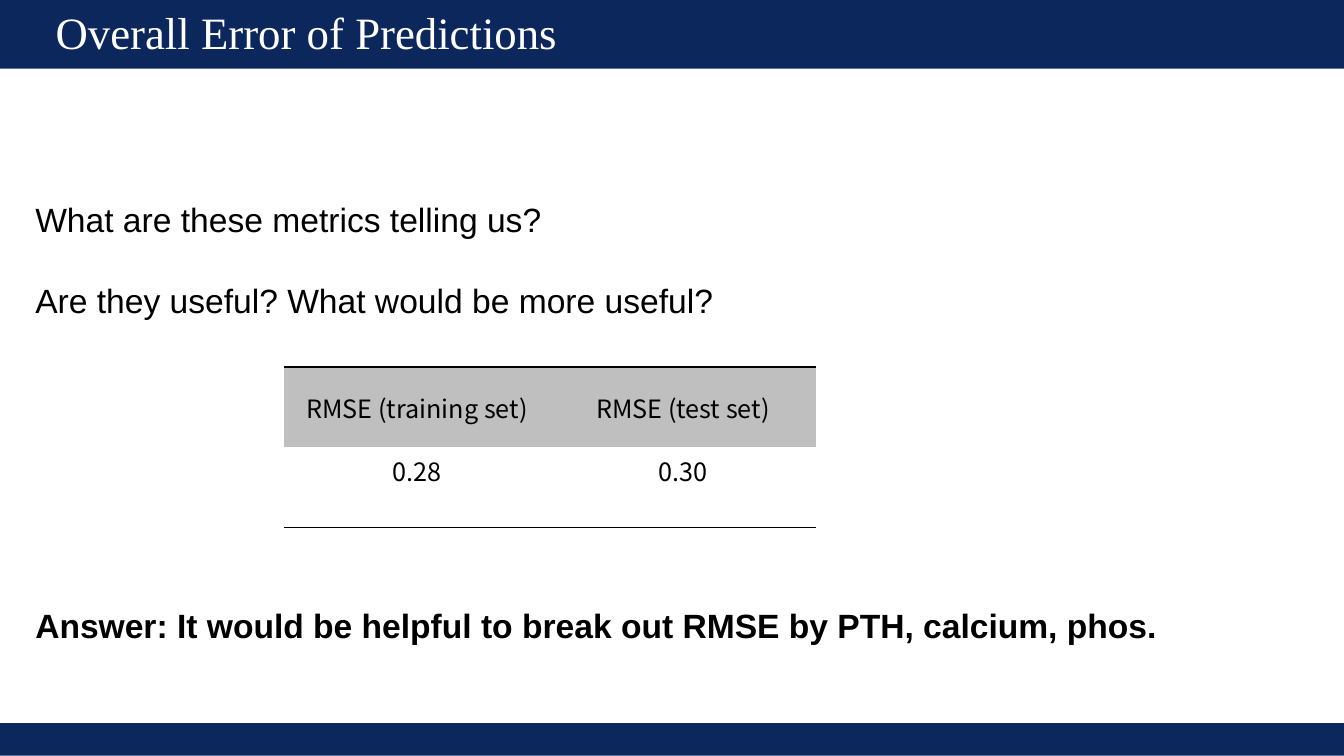
import pptx
import pptx.dml.color
import pptx.enum.shapes
import pptx.enum.text
import pptx.oxml
import pptx.oxml.ns
import pptx.util
from pptx.util import Cm, Pt

NAVY, GREY, WHITE, BLACK = "0C275C", "BFBFBF", "FFFFFF", "000000"
PLAIN_TABLE_STYLE = "{2D5ABB26-0587-4C30-8999-92F81FD0307C}"
ANCHOR = pptx.enum.text.MSO_ANCHOR
METRICS = [("RMSE (training set)", "RMSE (test set)"), ("0.28", "0.30")]
# Text, space before in points, bold
DISCUSSION = [
    ("What are these metrics telling us?", 0, False),
    ("Are they useful? What would be more useful?", 29.5, False),
    ("Answer: It would be helpful to break out RMSE by PTH, calcium, phos.", 203, True),
]


def colour(value):
    return pptx.dml.color.RGBColor.from_string(value)


def set_font(para, name, size, shade, bold=False):
    font = para.font
    font.name, font.size, font.bold = name, Pt(size), bold
    font.color.rgb = colour(shade)


def add_band(page, left, top, width, height):
    band = page.shapes.add_shape(
        pptx.enum.shapes.MSO_SHAPE.RECTANGLE, left, top, width, height)
    band.shadow.inherit = False
    band.fill.solid()
    band.fill.fore_color.rgb = colour(NAVY)
    band.line.fill.background()


def place_title(page, text, left, top, width, height):
    title = page.shapes.title
    title.left, title.top, title.width, title.height = left, top, width, height
    page.shapes._spTree.append(title._element)  # bring in front of the bands
    frame = title.text_frame
    frame.text = text
    frame.margin_left = frame.margin_right = frame.margin_top = frame.margin_bottom = 0
    frame.vertical_anchor = ANCHOR.MIDDLE
    para = frame.paragraphs[0]
    para.alignment = pptx.enum.text.PP_ALIGN.LEFT
    para.line_spacing = 0.9
    set_font(para, "Times New Roman", 32, WHITE)


def add_rule(cell, side):
    """Draw a thin black border on one side of a cell: "T" or "B"."""
    rule = pptx.oxml.parse_xml(
        f'<a:ln{side} {pptx.oxml.ns.nsdecls("a")} w="{Pt(0.96)}"><a:solidFill>'
        f'<a:srgbClr val="{BLACK}"/></a:solidFill></a:ln{side}>')
    cell._tc.get_or_add_tcPr().insert(0, rule)


def add_metrics_table(page, left, top, width, height):
    table = page.shapes.add_table(
        len(METRICS), len(METRICS[0]), left, top, width, height).table
    table.first_row = table.horz_banding = False
    table._tbl.tblPr.find(pptx.oxml.ns.qn("a:tableStyleId")).text = PLAIN_TABLE_STYLE
    looks = [(GREY, ANCHOR.MIDDLE, "T"), (WHITE, ANCHOR.TOP, "B")]
    for row, texts, (fill, anchor, side) in zip(table.rows, METRICS, looks):
        for cell, text in zip(row.cells, texts):
            cell.text = text
            cell.vertical_anchor = anchor
            cell.fill.solid()
            cell.fill.fore_color.rgb = colour(fill)
            add_rule(cell, side)
            para = cell.text_frame.paragraphs[0]
            para.alignment = pptx.enum.text.PP_ALIGN.CENTER
            set_font(para, "Noto Sans CJK SC", 18, BLACK)


def add_discussion(page, left, top, width, height):
    frame = page.shapes.add_textbox(left, top, width, height).text_frame
    frame.word_wrap = True
    for index, (text, gap, bold) in enumerate(DISCUSSION):
        para = frame.add_paragraph() if index else frame.paragraphs[0]
        para.text = text
        if gap:
            para.space_before = Pt(gap)
        set_font(para, "Arial", 24, BLACK, bold)


def build_error_page(deck):
    page = deck.slides.add_slide(deck.slide_layouts[5])
    add_band(page, 0, Cm(18.22), deck.slide_width, Cm(0.82))
    add_band(page, 0, 0, deck.slide_width, Cm(1.73))
    place_title(page, "Overall Error of Predictions",
                Cm(1.4), Cm(0.2), Cm(24.74), Cm(1.37))
    add_metrics_table(page, Cm(7.16), Cm(9.25), Cm(13.4), Cm(4.04))
    add_discussion(page, Cm(0.64), Cm(4.88), Cm(29.2), Cm(4))


def main():
    deck = pptx.Presentation()
    deck.slide_width, deck.slide_height = Cm(33.87), Cm(19.05)
    build_error_page(deck)
    deck.save("out.pptx")


if __name__ == "__main__":
    main()
